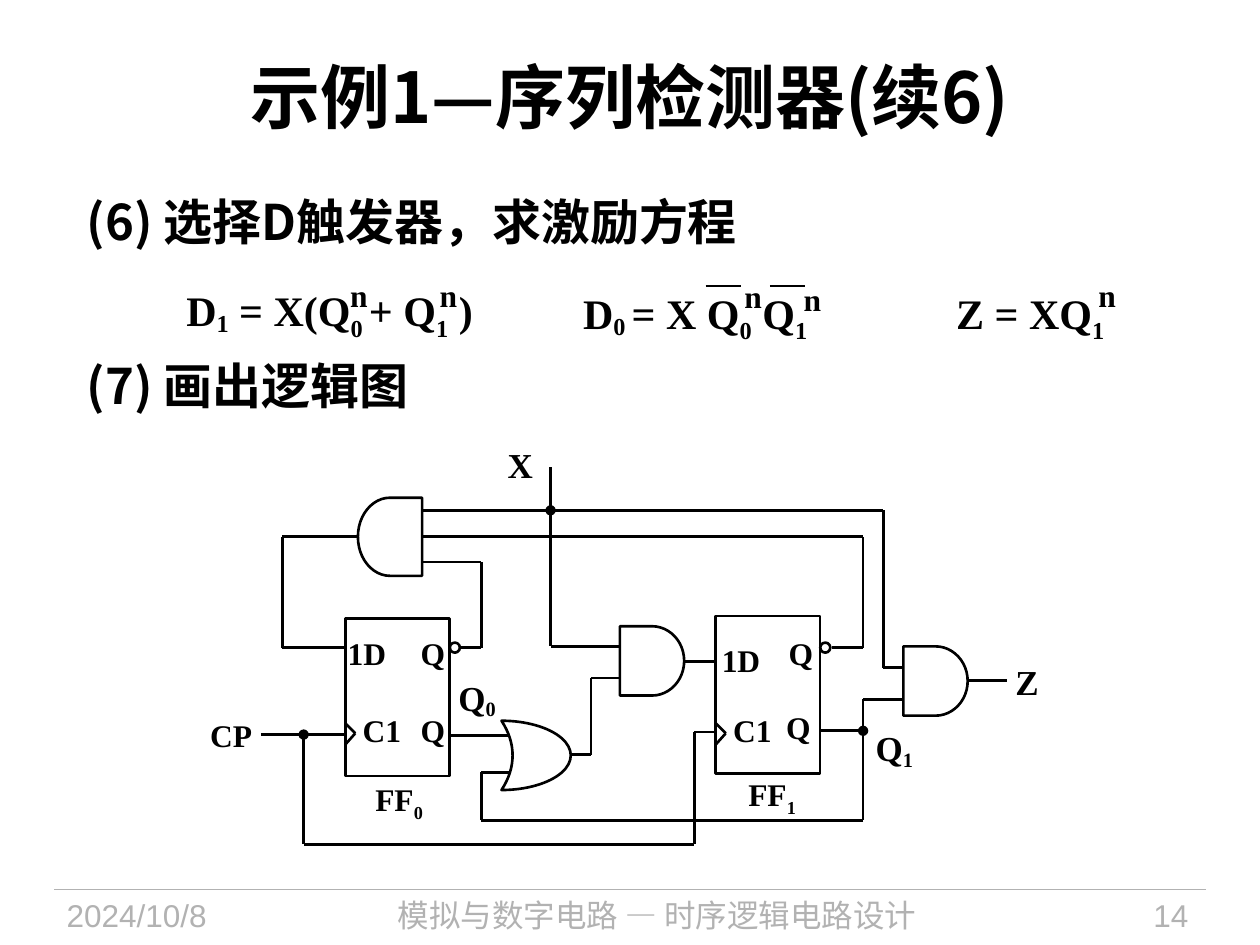
from dataclasses import dataclass
from itertools import pairwise

import pptx
import pptx.dml.color
import pptx.enum.shapes
import pptx.enum.text
import pptx.oxml
import pptx.oxml.ns
import pptx.util

Inches = pptx.util.Inches
Kind = pptx.enum.shapes.MSO_SHAPE
Align = pptx.enum.text.PP_ALIGN
Anchor = pptx.enum.text.MSO_ANCHOR
qn = pptx.oxml.ns.qn
Point = tuple[float, float]


@dataclass(frozen=True)
class Theme:
    ink: str = "000000"
    muted: str = "B2B2B2"
    paper: str = "FFFFFF"
    cjk: str = "Noto Sans CJK SC"
    serif: str = "Times New Roman"
    sans: str = "Arial"
    title: int = 40
    step: int = 28
    formula: int = 24
    signal: int = 20
    pin: int = 18
    wire: float = 1.5
    rule: float = 0.75


THEME = Theme()


@dataclass(frozen=True)
class Label:
    """Text whose runs are strings or (string, baseline shift in percent)."""
    left: float
    top: float
    width: float
    height: float
    runs: tuple
    size: int = THEME.pin
    font: str = THEME.serif
    color: str = THEME.ink
    bold: bool = True
    align: Align = Align.LEFT
    anchor: Anchor = Anchor.TOP


@dataclass(frozen=True)
class Wire:
    """Path of straight segments; dot marks a junction at its first point."""
    points: tuple[Point, ...]
    dot: bool = False
    color: str = THEME.ink
    weight: float = THEME.wire


@dataclass(frozen=True)
class Part:
    kind: Kind
    left: float
    top: float
    width: float
    height: float
    filled: bool = False
    rotation: int = 0
    adjust: float | None = None


def rgb(color: str) -> pptx.dml.color.RGBColor:
    return pptx.dml.color.RGBColor.from_string(color)


def add_runs(paragraph, label: Label) -> None:
    paragraph.alignment = label.align
    for item in label.runs:
        text, shift = (item, 0) if isinstance(item, str) else item
        run = paragraph.add_run()
        run.text = text
        style = {"name": label.font, "size": pptx.util.Pt(label.size), "bold": label.bold}
        for key, value in style.items():
            setattr(run.font, key, value)
        run.font.color.rgb = rgb(label.color)
        properties = run.font._element
        east_asian = pptx.oxml.parse_xml(
            f'<a:ea {pptx.oxml.ns.nsdecls("a")} typeface="{THEME.cjk}"/>')
        properties.find(qn("a:latin")).addnext(east_asian)
        if shift:
            properties.set("baseline", str(shift * 1000))


def draw_label(slide, label: Label):
    box = slide.shapes.add_textbox(*map(Inches, (label.left, label.top, label.width, label.height)))
    layout = {"word_wrap": True, "vertical_anchor": label.anchor}
    if label.align == Align.LEFT:
        layout["margin_right"] = 0
    for key, value in layout.items():
        setattr(box.text_frame, key, value)
    add_runs(box.text_frame.paragraphs[0], label)
    return box.text_frame


def draw_wire(slide, wire: Wire) -> None:
    for index, (start, end) in enumerate(pairwise(wire.points)):
        segment = slide.shapes.add_connector(
            pptx.enum.shapes.MSO_CONNECTOR.STRAIGHT, *map(Inches, (*start, *end)))
        segment.line.color.rgb = rgb(wire.color)
        segment.line.width = pptx.util.Pt(wire.weight)
        if wire.dot and index == 0:
            segment.line._get_or_add_ln().append(pptx.oxml.parse_xml(
                f'<a:headEnd {pptx.oxml.ns.nsdecls("a")} type="oval"/>'))
        segment._element.spPr.append(pptx.oxml.parse_xml(
            f'<a:effectLst {pptx.oxml.ns.nsdecls("a")}/>'))


def draw_part(slide, part: Part) -> None:
    shape = slide.shapes.add_shape(
        part.kind, *map(Inches, (part.left, part.top, part.width, part.height)))
    shape.shadow.inherit = False
    shape.rotation = part.rotation
    if part.adjust is not None:
        shape.adjustments[0] = part.adjust
    if part.filled:
        shape.fill.solid()
        shape.fill.fore_color.rgb = rgb(THEME.paper)
    else:
        shape.fill.background()
    shape.line.color.rgb = rgb(THEME.ink)
    shape.line.width = pptx.util.Pt(THEME.wire)


def draw_flip_flop(slide, left: float, top: float) -> None:
    """Body, inverting-output bubble and clock-edge mark."""
    draw_part(slide, Part(Kind.RECTANGLE, left, top, 0.83, 1.25))
    draw_part(slide, Part(Kind.OVAL, left + 0.83, 5.1, 0.08, 0.08))
    draw_wire(slide, Wire(((left, 5.74), (left + 0.08, 5.82), (left, 5.91))))


def superscript(left: float, top: float) -> Label:
    return Label(left, top, 0.34, 0.4, ("n",))


def pin(left: float, top: float, *runs) -> Label:
    return Label(left, top, 0.59, 0.4, runs)


def signal(left: float, top: float, *runs) -> Label:
    return Label(left, top, 0.51, 0.43, runs, THEME.signal)


def footer(left: float, width: float, text: str, font: str, align: Align) -> Label:
    return Label(left, 7.06, width, 0.44, (text,), THEME.pin, font, THEME.muted, False, align)


HEADINGS = (
    footer(0.43, 1.88, "2024/10/8", THEME.sans, Align.LEFT),
    footer(2.4, 5.63, "模拟与数字电路 — 时序逻辑电路设计", THEME.cjk, Align.CENTER),
    footer(8.2, 1.33, "14", THEME.sans, Align.RIGHT),
    Label(0.5, 0.17, 9, 1.17, ("示例1—序列检测器(续6)",), THEME.title, THEME.cjk,
          align=Align.CENTER, anchor=Anchor.MIDDLE),
)
STEPS = [Label(0.59, 1.47, 5.91, 1.97, (text,), THEME.step, THEME.cjk)
         for text in ("(6) 选择D触发器，求激励方程", "(7) 画出逻辑图")]
EQUATIONS = (
    Label(1.38, 2.21, 2.58, 0.51, ("D", ("1", -15), " = X(Q", ("0 ", -25), "+ Q", ("1", -25), " )"),
          THEME.formula),
    Label(4.53, 2.23, 2.08, 0.51, ("D", ("0 ", -15), "= X Q", ("0", -25), " Q", ("1", -25)),
          THEME.formula),
    Label(7.49, 2.23, 1.39, 0.5, ("Z = XQ", ("1", -25)), THEME.formula),
    *(superscript(*place) for place in
      ((2.68, 2.14), (3.39, 2.14), (5.81, 2.15), (6.28, 2.17), (8.62, 2.14))),
)
CIRCUIT_LABELS = (
    pin(2.66, 4.98, "1D"), pin(2.78, 5.59, "C1"), pin(3.24, 4.98, "Q"), pin(3.24, 5.59, "Q"),
    pin(5.63, 5.04, "1D"), pin(5.72, 5.59, "C1"), pin(6.16, 4.98, "Q"), pin(6.14, 5.57, "Q"),
    pin(2.88, 6.14, "FF", ("0", -25)), pin(5.84, 6.1, "FF", ("1", -25)), pin(1.57, 5.63, "CP"),
    signal(3.93, 3.47, "X"), signal(7.96, 5.19, "Z"),
    signal(3.54, 5.32, "Q", ("0", -15)), signal(6.85, 5.72, "Q", ("1", -15)),
)
WIRES = (
    Wire(((0.43, 7.06), (9.57, 7.06)), color=THEME.muted, weight=THEME.rule),
    *(Wire(((left, 2.27), (left + 0.28, 2.27))) for left in (5.6, 6.11)),  # negation bars
    Wire(((2.07, 5.83), (2.74, 5.83))),  # CP
    Wire(((2.41, 5.83), (2.41, 6.7), (5.51, 6.7), (5.51, 5.81), (5.68, 5.81)), dot=True),
    Wire(((4.37, 3.71), (4.37, 4.05))),  # X
    Wire(((4.37, 4.05), (4.37, 5.13), (4.92, 5.13)), dot=True),
    Wire(((3.32, 4.05), (7.01, 4.05), (7.01, 5.3), (7.24, 5.3))),
    Wire(((2.91, 4.26), (2.24, 4.26), (2.24, 5.14), (2.74, 5.14))),  # D0
    Wire(((3.66, 5.14), (3.82, 5.14), (3.82, 4.46), (3.32, 4.46))),  # inverted Q0
    Wire(((6.6, 5.14), (6.85, 5.14), (6.85, 4.26), (3.32, 4.26))),  # inverted Q1
    Wire(((3.58, 5.84), (4.06, 5.84))),  # Q0
    Wire(((6.85, 5.8), (6.51, 5.8)), dot=True),  # Q1
    Wire(((6.85, 5.8), (6.85, 6.51), (3.82, 6.51), (3.82, 6.13), (4.06, 6.13))),
    Wire(((6.85, 5.8), (6.85, 5.55), (7.22, 5.55))),
    Wire(((4.45, 5.99), (4.69, 5.99), (4.69, 5.38), (4.93, 5.38))),
    Wire(((5.35, 5.25), (5.67, 5.25))),  # D1
    Wire(((7.66, 5.4), (7.99, 5.4))),  # Z
)
GATES = (
    Part(Kind.FLOWCHART_DELAY, 2.84, 3.95, 0.51, 0.62, True, 180),
    Part(Kind.FLOWCHART_DELAY, 4.92, 4.97, 0.51, 0.55, True),
    Part(Kind.FLOWCHART_DELAY, 7.17, 5.13, 0.51, 0.55, True),
    Part(Kind.MOON, 3.98, 5.72, 0.55, 0.55, True, 180, 0.84),
)


def main() -> None:
    deck = pptx.Presentation()
    deck.slide_width, deck.slide_height = Inches(10), Inches(7.5)
    slide = deck.slides.add_slide(deck.slide_layouts[6])
    for heading in HEADINGS:
        draw_label(slide, heading)
    second_step = draw_label(slide, STEPS[0]).add_paragraph()
    second_step.space_before = pptx.util.Pt(60)
    add_runs(second_step, STEPS[1])
    for label in EQUATIONS + CIRCUIT_LABELS:
        draw_label(slide, label)
    for left, top in ((2.74, 4.91), (5.68, 4.89)):
        draw_flip_flop(slide, left, top)
    for wire in WIRES:
        draw_wire(slide, wire)
    for gate in GATES:
        draw_part(slide, gate)
    deck.save("out.pptx")


if __name__ == "__main__":
    main()
